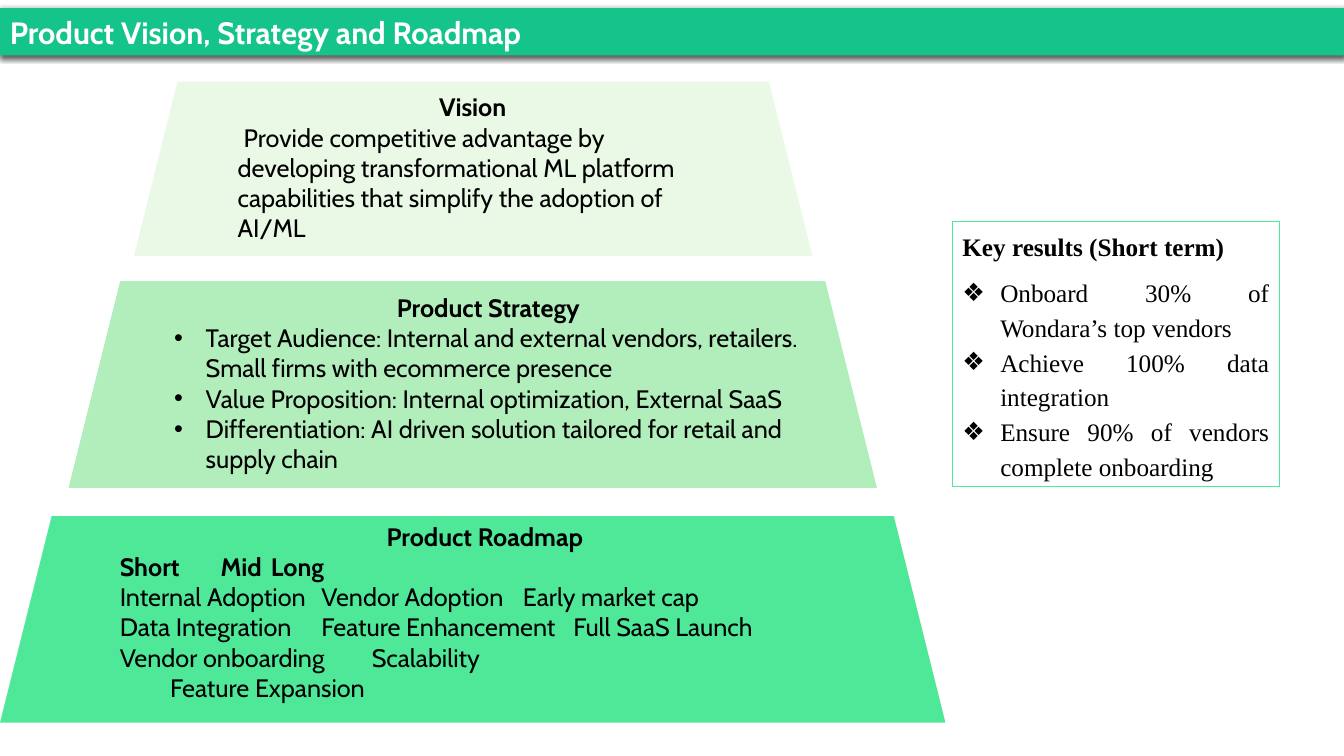
from dataclasses import dataclass

from lxml import etree
from pptx import Presentation
from pptx.dml.color import RGBColor
from pptx.enum.shapes import MSO_SHAPE
from pptx.enum.text import MSO_ANCHOR, MSO_AUTO_SIZE, PP_ALIGN
from pptx.oxml.ns import qn
from pptx.shapes.autoshape import Shape
from pptx.slide import Slide
from pptx.util import Pt

TRAPEZOID, RECTANGLE = MSO_SHAPE.TRAPEZOID, MSO_SHAPE.RECTANGLE
LEFT, CENTER, JUSTIFY = PP_ALIGN.LEFT, PP_ALIGN.CENTER, PP_ALIGN.JUSTIFY
TOP, MIDDLE = MSO_ANCHOR.TOP, MSO_ANCHOR.MIDDLE
GROW = MSO_AUTO_SIZE.SHAPE_TO_FIT_TEXT

COLORS = {
    "banner": "15C48B",
    "vision": "EAF8E6",
    "strategy": "B1EEBC",
    "roadmap": "4FE899",
    "outline": "4FE899",
    "text": "000000",
    "title": "FFFFFF",
}
BODY_FONT, RESULTS_FONT = "Cabin", "Times New Roman"


@dataclass(frozen=True)
class Box:
    left: float
    top: float
    width: float
    height: float


@dataclass(frozen=True)
class Line:
    text: str
    bold: bool = False
    align: PP_ALIGN = LEFT
    bullet: str = ""
    margin: float = 0
    indent: float = 0
    tabs: tuple[float, ...] = ()
    spacing: float = 1.0
    space_after: float = 0


@dataclass(frozen=True)
class Tier:
    color: str
    outline: Box
    text_box: Box
    lines: tuple[Line, ...]


def heading(text: str) -> Line:
    return Line(text, bold=True, align=CENTER)


def strategy_item(text: str) -> Line:
    return Line(text, bullet="•", margin=22.5, indent=-22.5)


def key_result(text: str) -> Line:
    return Line(text, align=JUSTIFY, bullet="❖", margin=27, indent=-27, spacing=1.15)


TIERS = (
    Tier(
        "roadmap", Box(0, 368.64, 675.36, 147.6), Box(78.5, 368.64, 535.68, 138.24),
        (
            heading("Product Roadmap"),
            Line("Short\tMid\tLong", bold=True, tabs=(177, 356.5)),
            Line("Internal Adoption\tVendor Adoption\tEarly market cap", tabs=(165, 355.5)),
            Line("Data Integration\tFeature Enhancement\tFull SaaS Launch", tabs=(167, 346.5)),
            Line("Vendor onboarding\tScalability", tabs=(162,)),
            Line("\tFeature Expansion", tabs=(186,)),
        ),
    ),
    Tier(
        "strategy", Box(48.96, 200.88, 577.44, 147.6), Box(117.36, 205.2, 462.96, 138.24),
        (
            heading("Product Strategy"),
            strategy_item("Target Audience: Internal and external vendors, retailers. "
                          "Small firms with ecommerce presence"),
            strategy_item("Value Proposition: Internal optimization, External SaaS"),
            strategy_item("Differentiation: AI driven solution tailored for retail and supply chain"),
        ),
    ),
    Tier(
        "vision", Box(95.76, 58.32, 484.56, 124.56), Box(162.72, 61.92, 349.92, 116.64),
        (
            heading("Vision"),
            Line("Provide competitive advantage by developing transformational ML platform "
                 "capabilities that simplify the adoption of AI/ML", indent=4.3),
        ),
    ),
)
KEY_RESULTS = (
    Line("Key results (Short term)", bold=True, align=JUSTIFY, spacing=1.15, space_after=8),
    key_result("Onboard 30% of Wondara’s top vendors"),
    key_result("Achieve 100% data integration"),
    key_result("Ensure 90% of vendors complete onboarding"),
)


def add_panel(slide: Slide, kind: MSO_SHAPE, box: Box, fill: str = "", line: str = "") -> Shape:
    shape = slide.shapes.add_shape(
        kind, Pt(box.left), Pt(box.top), Pt(box.width), Pt(box.height))
    shape.shadow.inherit = False
    if fill:
        shape.fill.solid()
        shape.fill.fore_color.rgb = RGBColor.from_string(COLORS[fill])
    else:
        shape.fill.background()
    if line:
        shape.line.color.rgb = RGBColor.from_string(COLORS[line])
        shape.line.width = Pt(0.75)
    else:
        shape.line.fill.background()
    return shape


def write_lines(shape: Shape, lines: tuple[Line, ...], font: str, anchor: MSO_ANCHOR,
                size: float = 18, color: str = "text") -> None:
    frame = shape.text_frame
    frame.word_wrap = True
    frame.auto_size = GROW
    frame.vertical_anchor = anchor
    frame.text = "\n".join(line.text for line in lines)
    for paragraph, line in zip(frame.paragraphs, lines):
        paragraph.alignment = line.align
        paragraph.line_spacing = line.spacing
        paragraph.space_after = Pt(line.space_after)
        properties = paragraph._p.get_or_add_pPr()
        properties.set("marL", str(Pt(line.margin)))
        properties.set("indent", str(Pt(line.indent)))
        if line.bullet:
            etree.SubElement(properties, qn("a:buFont"), typeface="Arial")
            etree.SubElement(properties, qn("a:buChar"), char=line.bullet)
        if line.tabs:
            tab_list = etree.SubElement(properties, qn("a:tabLst"))
            for position in line.tabs:
                etree.SubElement(tab_list, qn("a:tab"), pos=str(Pt(position)), algn="l")
        for run in paragraph.runs:
            run.font.name = font
            run.font.size = Pt(size)
            run.font.bold = line.bold
            run.font.color.rgb = RGBColor.from_string(COLORS[color])


def add_drop_shadow(shape: Shape) -> None:
    effects = shape._element.spPr.find(qn("a:effectLst"))
    shadow = etree.SubElement(
        effects, qn("a:outerShdw"), blurRad=str(Pt(4.5)), dist=str(Pt(1.5)),
        dir="5400000", algn="t", rotWithShape="0")
    color = etree.SubElement(shadow, qn("a:srgbClr"), val=COLORS["text"])
    etree.SubElement(color, qn("a:alpha"), val="63000")


def add_tier_text(slide: Slide, tier: Tier) -> None:
    box = tier.text_box
    text_box = slide.shapes.add_textbox(
        Pt(box.left), Pt(box.top), Pt(box.width), Pt(box.height))
    write_lines(text_box, tier.lines, BODY_FONT, TOP)


def main() -> None:
    presentation = Presentation()
    presentation.slide_width, presentation.slide_height = Pt(960), Pt(540)
    slide = presentation.slides.add_slide(presentation.slide_layouts[6])

    for tier in TIERS:
        add_panel(slide, TRAPEZOID, tier.outline, fill=tier.color)

    banner = add_panel(slide, RECTANGLE, Box(0, 5.76, 960, 33.84), fill="banner")
    add_drop_shadow(banner)
    title = Line("Product Vision, Strategy and Roadmap", bold=True)
    write_lines(banner, (title,), BODY_FONT, MIDDLE, size=22, color="title")

    for tier in reversed(TIERS):
        add_tier_text(slide, tier)

    results = add_panel(slide, RECTANGLE, Box(680.4, 158.4, 233.28, 189.36), line="outline")
    write_lines(results, KEY_RESULTS, RESULTS_FONT, MIDDLE)

    presentation.save("out.pptx")


if __name__ == "__main__":
    main()
